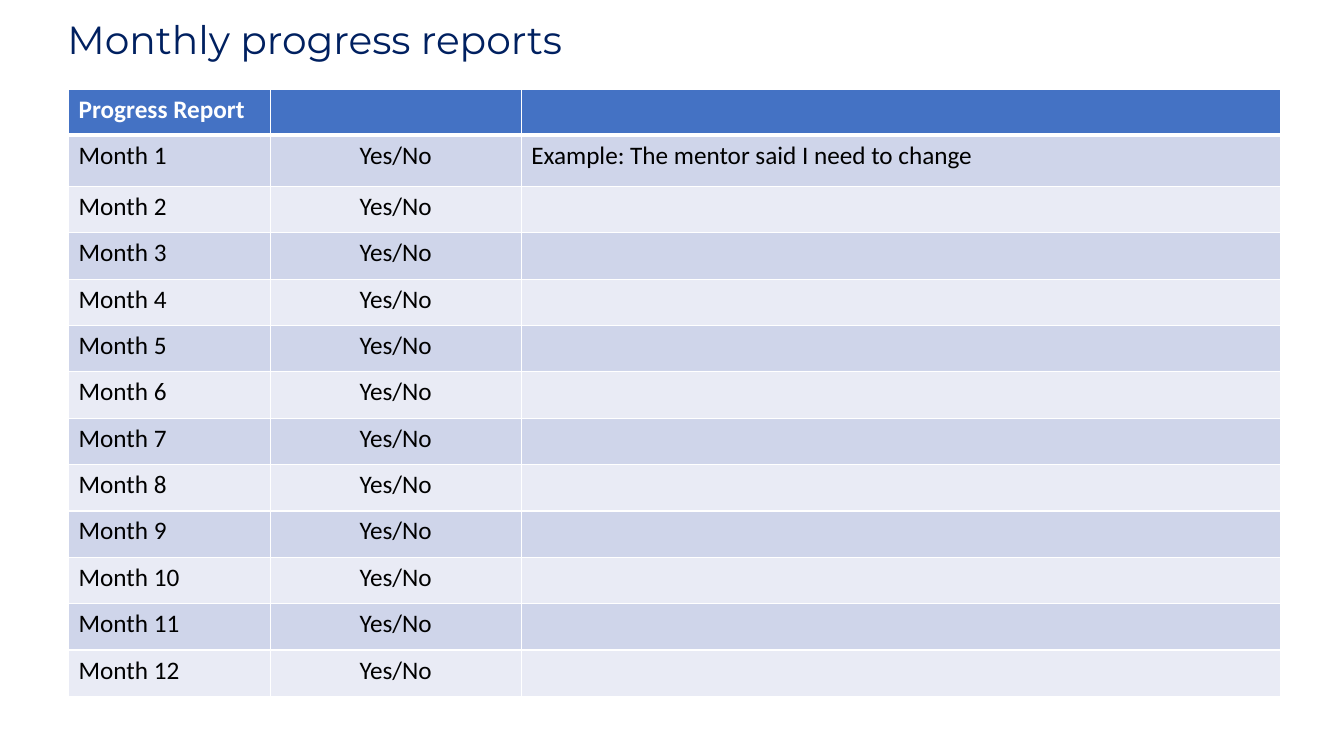
from dataclasses import dataclass

from lxml.etree import SubElement
from pptx import Presentation
from pptx.dml.color import RGBColor
from pptx.enum.text import MSO_AUTO_SIZE, PP_ALIGN
from pptx.oxml.ns import qn
from pptx.util import Emu, Pt

COLORS = {
    "title": "002060",
    "header": "4472C4",
    "odd": "CFD5EA",
    "even": "E9EBF5",
    "white": "FFFFFF",
    "text": "000000",
}
EMU_PER_PX = 9144
MONTHS = 12
COLUMN_WIDTHS = (200, 249, 753)
ROW_HEIGHTS = (45, 51) + (46,) * (MONTHS - 1)
ALIGNMENTS = (PP_ALIGN.LEFT, PP_ALIGN.CENTER, PP_ALIGN.LEFT)


@dataclass
class ReportRow:
    texts: tuple[str, str, str]
    fill: str
    color: str = "text"
    bold: bool = False
    top: int = 1
    bottom: int = 1


def px(n: int) -> Emu:
    return Emu(n * EMU_PER_PX)


def rgb(name: str) -> RGBColor:
    return RGBColor.from_string(COLORS[name])


def write(p, text: str, color: str, **fmt) -> None:
    r = p.add_run()
    r.text = text
    r.font.color.rgb = rgb(color)
    for name, value in fmt.items():
        setattr(r.font, name, value)


def set_borders(cell, widths: dict[str, int]) -> None:
    tc_pr = cell._tc.get_or_add_tcPr()
    for i, (side, width) in enumerate(widths.items()):
        ln = SubElement(tc_pr, qn(f"a:ln{side}"), w=str(Pt(width)))
        tc_pr.insert(i, ln)
        fill = SubElement(ln, qn("a:solidFill"))
        SubElement(fill, qn("a:srgbClr"), val=COLORS["white"])


def fill_row(cells, row: ReportRow) -> None:
    for cell, text, align in zip(cells, row.texts, ALIGNMENTS):
        cell.fill.solid()
        cell.fill.fore_color.rgb = rgb(row.fill)
        set_borders(cell, {"L": 1, "R": 1, "T": row.top, "B": row.bottom})
        if text:
            p = cell.text_frame.paragraphs[0]
            p.alignment = align
            write(p, text, row.color, name="Calibri", size=Pt(18), bold=row.bold)


def report_rows() -> list[ReportRow]:
    rows = [ReportRow(("Progress Report", "", ""), "header", "white", True, bottom=3)]
    for month in range(1, MONTHS + 1):
        first = month == 1
        note = "Example: The mentor said I need to change" if first else ""
        rows.append(ReportRow((f"Month {month}", "Yes/No", note),
                              "odd" if month % 2 else "even", top=3 if first else 1))
    return rows


def add_title(s) -> None:
    tf = s.shapes.add_textbox(px(57), px(10), px(1132), px(57)).text_frame
    tf.word_wrap = True
    tf.auto_size = MSO_AUTO_SIZE.SHAPE_TO_FIT_TEXT
    write(tf.paragraphs[0], "Monthly progress reports", "title",
          name="Montserrat", size=Pt(28))


def add_report_table(s) -> None:
    rows = report_rows()
    table = s.shapes.add_table(
        len(rows), len(COLUMN_WIDTHS), px(68), px(89),
        px(sum(COLUMN_WIDTHS)), px(sum(ROW_HEIGHTS))).table
    for column, width in zip(table.columns, COLUMN_WIDTHS):
        column.width = px(width)
    for table_row, height, row in zip(table.rows, ROW_HEIGHTS, rows):
        table_row.height = px(height)
        fill_row(table_row.cells, row)


def main() -> None:
    prs = Presentation()
    prs.slide_width, prs.slide_height = px(1333), px(750)
    s = prs.slides.add_slide(prs.slide_layouts[6])
    add_title(s)
    add_report_table(s)
    prs.save("out.pptx")


if __name__ == "__main__":
    main()
